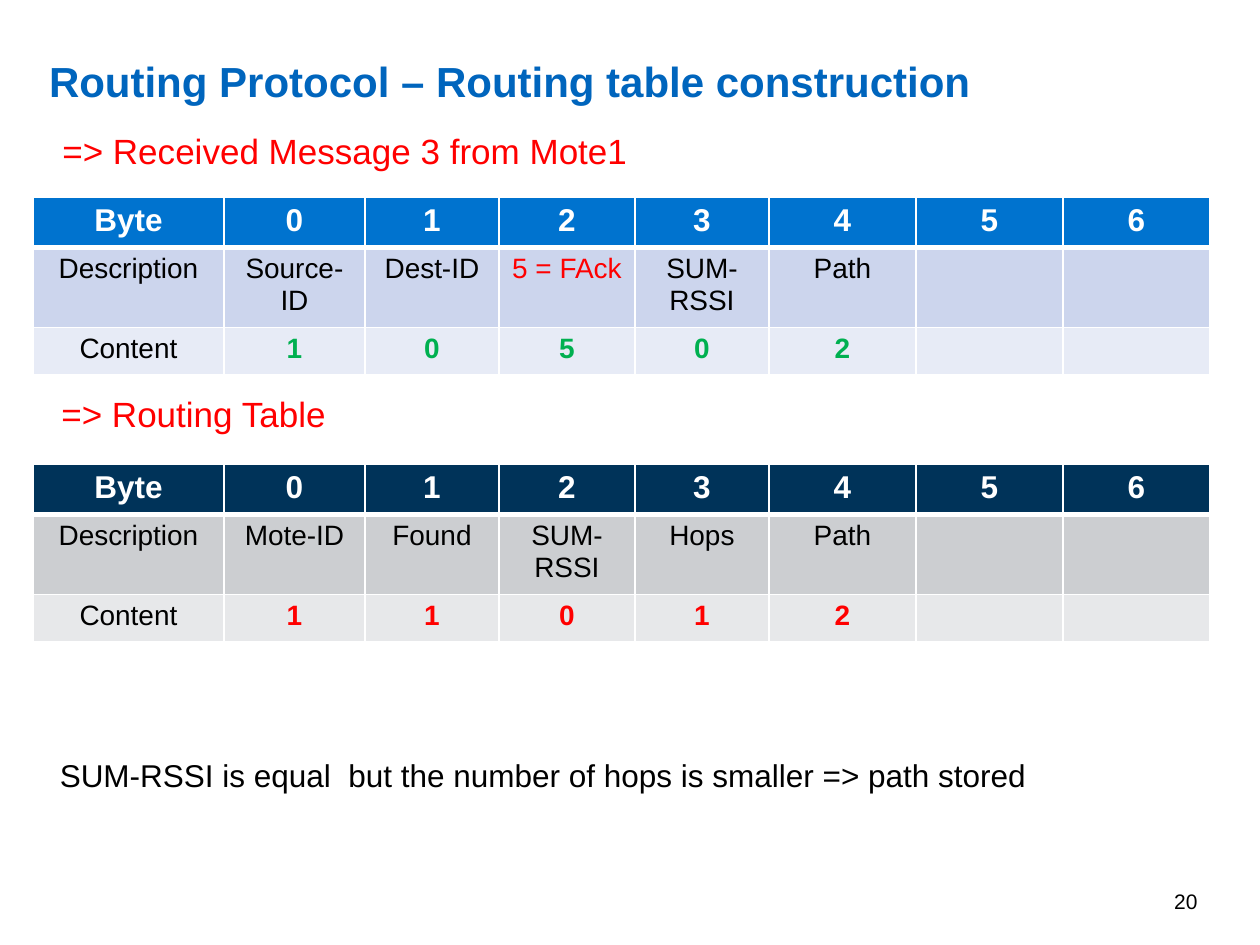
"""Builds the routing table construction slide."""
import pptx
import pptx.dml.color
import pptx.enum.text
import pptx.oxml
import pptx.oxml.ns
import pptx.util

PX = 914400 / 126
ALIGN = pptx.enum.text.PP_ALIGN
ANCHOR = pptx.enum.text.MSO_ANCHOR
BLACK, WHITE, RED, GREEN = "000000", "FFFFFF", "FF0000", "00B050"
COLUMNS = [191, 141, 134, 136, 134, 147, 147, 147]
ROWS = [49, 80, 47]
HEADER = ["Byte", *"0123456"]


def px(length):
    return pptx.util.Emu(round(length * PX))


def rgb(value):
    return pptx.dml.color.RGBColor.from_string(value)


class Deck:
    """Holds the style and the current slide."""

    def __init__(self, font):
        self.font = font
        self.presentation = pptx.Presentation()
        self.presentation.slide_width = px(1260)
        self.presentation.slide_height = px(945)
        self.slide = None

    def add_slide(self):
        self.slide = self.presentation.slides.add_slide(self.presentation.slide_layouts[5])

    def fill_text(self, frame, text, size, color, bold=False, align=ALIGN.LEFT):
        paragraph = frame.paragraphs[0]
        if text:
            paragraph.add_run().text = text
        paragraph.alignment = align
        paragraph.font.name = self.font
        paragraph.font.size = pptx.util.Pt(size)
        paragraph.font.bold = bold
        paragraph.font.color.rgb = rgb(color)
        return paragraph

    def title(self, text, left, top, width, height):
        heading = self.slide.shapes.title
        heading.left, heading.top = px(left), px(top)
        heading.width, heading.height = px(width), px(height)
        frame = heading.text_frame
        frame.margin_left = frame.margin_right = frame.margin_top = frame.margin_bottom = 0
        frame.vertical_anchor = ANCHOR.MIDDLE
        frame.auto_size = pptx.enum.text.MSO_AUTO_SIZE.NONE
        self.fill_text(frame, text, 24, "0065BD", bold=True).line_spacing = 1.25

    def text(self, text, left, top, width, height, size, color=BLACK,
             align=ALIGN.LEFT, anchor=ANCHOR.TOP):
        box = self.slide.shapes.add_textbox(px(left), px(top), px(width), px(height))
        box.text_frame.word_wrap = False
        box.text_frame.vertical_anchor = anchor
        self.fill_text(box.text_frame, text, size, color, align=align)

    def border(self, cell, top, bottom):
        properties = cell._tc.get_or_add_tcPr()
        for side, points in zip("LRTB", (1, 1, top, bottom)):
            properties.append(pptx.oxml.parse_xml(
                f'<a:ln{side} {pptx.oxml.ns.nsdecls("a")} w="{pptx.util.Pt(points)}">'
                f'<a:solidFill><a:srgbClr val="{WHITE}"/></a:solidFill></a:ln{side}>'))

    def table(self, top, descriptions, contents, fills, content_color, highlight=None):
        rows = [HEADER, ["Description", *descriptions], ["Content", *contents]]
        table = self.slide.shapes.add_table(
            len(ROWS), len(COLUMNS), px(33), px(top), px(sum(COLUMNS)), px(sum(ROWS))).table
        for column, width in zip(table.columns, COLUMNS):
            column.width = px(width)
        for r, (values, height, fill) in enumerate(zip(rows, ROWS, fills)):
            table.rows[r].height = px(height)
            for c in range(len(COLUMNS)):
                cell = table.cell(r, c)
                value = values[c] if c < len(values) else ""
                self.border(cell, 3 if r == 1 else 1, 3 if r == 0 else 1)
                cell.fill.solid()
                cell.fill.fore_color.rgb = rgb(fill)
                is_content = r == 2 and c > 0
                color = WHITE if r == 0 else content_color if is_content else BLACK
                if value and value == highlight:
                    color = RED
                self.fill_text(cell.text_frame, value, 18 if r == 0 else 16, color,
                               bold=r == 0 or is_content, align=ALIGN.CENTER)


def main():
    deck = Deck("Arial")
    deck.add_slide()
    deck.title("Routing Protocol – Routing table construction", 49, 50, 988, 49)
    deck.text("=> Received Message 3 from Mote1", 50, 123, 595, 55, 20, RED)
    deck.table(197, ["Source-ID", "Dest-ID", "5 = FAck", "SUM-RSSI", "Path"], "10502",
               ["0073CF", "CCD5ED", "E7EBF6"], GREEN, highlight="5 = FAck")
    deck.text("=> Routing Table", 49, 386, 292, 55, 20, RED)
    deck.table(464, ["Mote-ID", "Found", "SUM-RSSI", "Hops", "Path"], "11012",
               ["003359", "CCCED1", "E7E8EA"], RED)
    deck.text("SUM-RSSI is equal  but the number of hops is smaller => path stored",
              43, 750, 1000, 50, 18, align=ALIGN.CENTER)
    deck.text("20", 916, 876, 294, 50, 12, align=ALIGN.RIGHT, anchor=ANCHOR.MIDDLE)
    deck.presentation.save("out.pptx")


if __name__ == "__main__":
    main()
